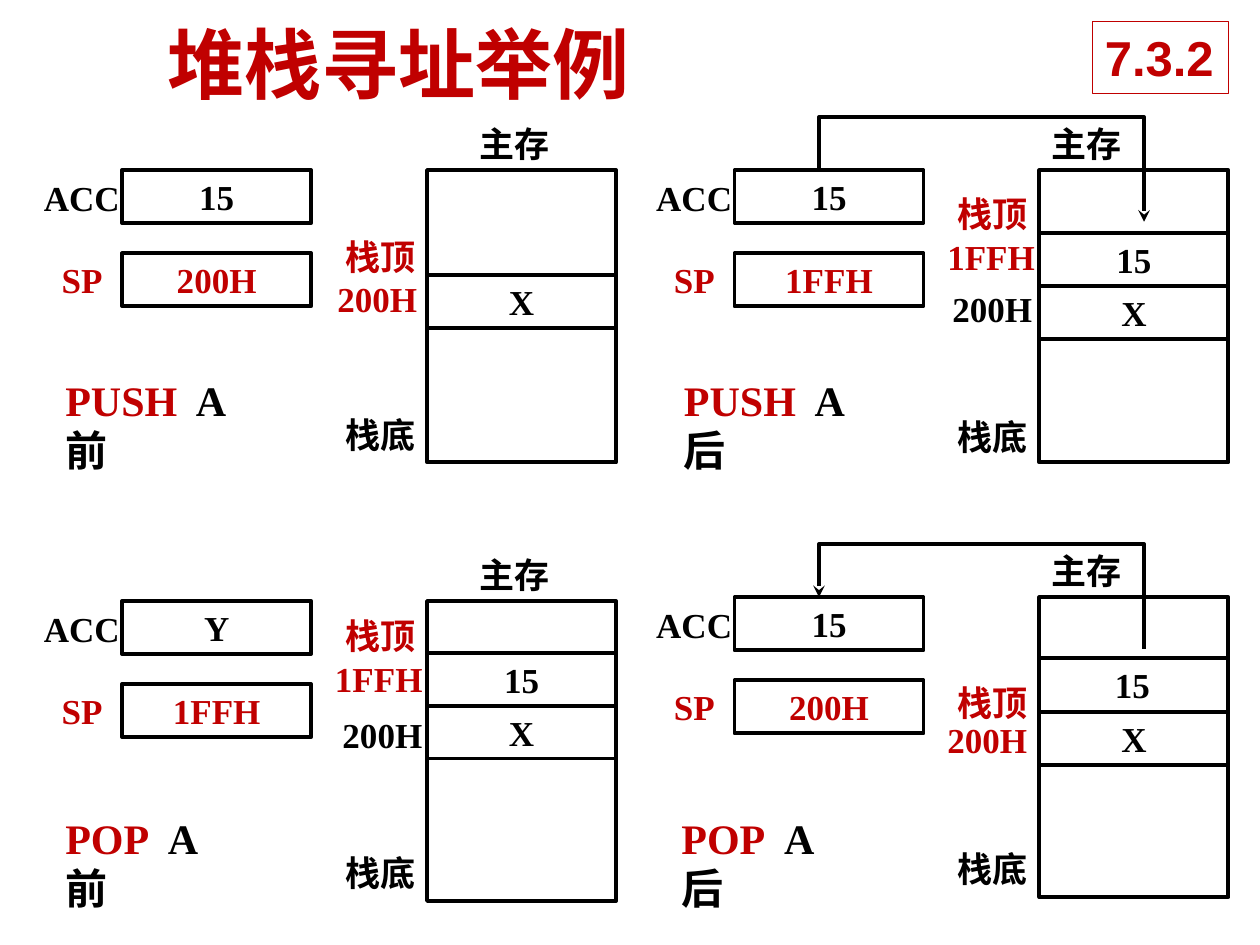
from dataclasses import dataclass
from typing import Optional

from lxml.etree import SubElement
from pptx import Presentation
from pptx.dml.color import RGBColor
from pptx.enum.shapes import MSO_CONNECTOR, MSO_SHAPE
from pptx.enum.text import MSO_ANCHOR, MSO_AUTO_SIZE, PP_ALIGN
from pptx.oxml.ns import qn
from pptx.util import Inches, Pt

RED, BLACK, WHITE = "C00000", "000000", "FFFFFF"
SERIF = "Times New Roman"
CELL_WIDTH, CELL_HEIGHT = 1.5, 0.42
REGISTER_X, MEMORY_X = 0.97, 3.39
PANEL_STEP = 4.86  # from the left panels to the right ones
# Wide enough to keep each label on one line
LABEL_WIDTHS = {"ACC": 0.83, "SP": 0.55, "200H": 0.87, "1FFH": 0.92, "15": 0.5}
CHINESE_LABEL_WIDTH = 0.77


@dataclass
class Label:
    text: str
    x: float
    y: float
    color: str = BLACK


@dataclass
class Cell:
    text: str
    y: float


@dataclass
class Panel:
    """One stack state; positions inside it count from its left and top."""
    left: float
    top: float
    acc: str
    sp: str
    memory_height: float
    cells: list[Cell]
    labels: list[Label]
    instruction: str
    moment: str
    instruction_at: tuple[float, float]
    arrow_end: Optional[str] = None


PANELS = [
    Panel(0, 1.35, "15", "200H", 2.32, [Cell("X", 0.83)],
          [Label("栈顶", 2.64, 0.47, RED), Label("200H", 2.58, 0.8, RED),
           Label("栈底", 2.64, 1.88), Label("主存", 3.71, -0.43)],
          "PUSH", "前", (0.42, 2.92)),
    Panel(PANEL_STEP, 1.35, "15", "1FFH", 2.32, [Cell("15", 0.5), Cell("X", 0.92)],
          [Label("栈顶", 2.64, 0.13, RED), Label("1FFH", 2.56, 0.47, RED),
           Label("200H", 2.6, 0.88), Label("栈底", 2.64, 1.9),
           Label("主存", MEMORY_X, -0.43)],
          "PUSH", "后", (5.33, 2.92), "tailEnd"),
    Panel(0, 4.77, "Y", "1FFH", 2.38, [Cell("15", 0.41), Cell("X", 0.83)],
          [Label("栈顶", 2.64, 0.06, RED), Label("1FFH", 2.56, 0.4, RED),
           Label("200H", 2.62, 0.84), Label("栈底", 2.64, 1.94),
           Label("主存", 3.71, -0.43)],
          "POP", "前", (0.42, 6.4)),
    Panel(PANEL_STEP, 4.74, "15", "200H", 2.38, [Cell("X", 0.91)],
          [Label("栈顶", 2.64, 0.62, RED), Label("200H", 2.56, 0.91, RED),
           Label("栈底", 2.64, 1.94), Label("主存", MEMORY_X, -0.43),
           Label("15", 3.89, 0.48)],
          "POP", "后", (5.31, 6.4), "headEnd"),
]


def rgb(color: str) -> RGBColor:
    return RGBColor.from_string(color)


def set_font(paragraph, size: float, color: str, name: str = SERIF) -> None:
    font = paragraph.font
    font.size, font.bold, font.name = Pt(size), True, name
    font.color.rgb = rgb(color)


def add_box(slide, x: float, y: float, height: float, text: str = "",
            color: str = BLACK) -> None:
    box = slide.shapes.add_shape(MSO_SHAPE.RECTANGLE, Inches(x), Inches(y),
                                 Inches(CELL_WIDTH), Inches(height))
    box.shadow.inherit = False
    box.fill.background()
    box.line.color.rgb = rgb(BLACK)
    box.line.width = Pt(2.25)
    if text:
        frame = box.text_frame
        frame.word_wrap = False
        frame.vertical_anchor = MSO_ANCHOR.MIDDLE
        frame.text = text
        frame.paragraphs[0].alignment = PP_ALIGN.CENTER
        set_font(frame.paragraphs[0], 20, color)


def add_label(slide, text: str, x: float, y: float, color: str = BLACK) -> None:
    width = LABEL_WIDTHS.get(text, CHINESE_LABEL_WIDTH)
    box = slide.shapes.add_textbox(Inches(x), Inches(y), Inches(width), Inches(0.43))
    frame = box.text_frame
    frame.word_wrap = False
    frame.auto_size = MSO_AUTO_SIZE.SHAPE_TO_FIT_TEXT
    frame.text = text
    set_font(frame.paragraphs[0], 20, color)


def add_instruction(slide, panel: Panel) -> None:
    x, y = panel.instruction_at
    box = slide.shapes.add_textbox(Inches(x), Inches(y), Inches(1.92), Inches(0.5))
    box.text_frame.word_wrap = True
    paragraph = box.text_frame.paragraphs[0]
    set_font(paragraph, 24, BLACK)
    operation = paragraph.add_run()
    operation.text = panel.instruction
    operation.font.color.rgb = rgb(RED)
    paragraph.add_run().text = "  A"
    paragraph.add_line_break()
    paragraph.add_run().text = panel.moment


def add_transfer_arrow(slide, top: float, arrow_end: str) -> None:
    """Path between ACC and the top of the stack."""
    points = [(Inches(x), Inches(y)) for x, y in
              [(6.5, top), (6.5, top - 0.42), (9.08, top - 0.42), (9.08, top + 0.41)]]
    builder = slide.shapes.build_freeform(*points[0])
    builder.add_line_segments(points[1:], close=False)
    arrow = builder.convert_to_shape()
    arrow.shadow.inherit = False
    arrow.fill.background()
    arrow.line.color.rgb = rgb(BLACK)
    arrow.line.width = Pt(2.25)
    line = arrow.line._get_or_add_ln()
    SubElement(line, qn(f"a:{arrow_end}"), type="stealth")


def add_panel(slide, panel: Panel) -> None:
    left, top = panel.left, panel.top
    # Registers
    add_box(slide, left + REGISTER_X, top, CELL_HEIGHT, panel.acc)
    add_box(slide, left + REGISTER_X, top + 0.66, CELL_HEIGHT, panel.sp, RED)
    add_label(slide, "ACC", left + 0.25, top)
    add_label(slide, "SP", left + 0.39, top + 0.65, RED)
    # Main memory
    add_box(slide, left + MEMORY_X, top, panel.memory_height)
    for cell in panel.cells:
        add_box(slide, left + MEMORY_X, top + cell.y, CELL_HEIGHT, cell.text)
    for label in panel.labels:
        add_label(slide, label.text, left + label.x, top + label.y, label.color)
    if panel.arrow_end:
        add_transfer_arrow(slide, top, panel.arrow_end)
    add_instruction(slide, panel)


def add_popped_cell_edge(slide) -> None:
    edge = slide.shapes.add_connector(MSO_CONNECTOR.STRAIGHT, Inches(8.25), Inches(5.22),
                                      Inches(9.75), Inches(5.22))
    edge.line.color.rgb = rgb(BLACK)
    edge.line.width = Pt(2.25)
    SubElement(edge._element.spPr, qn("a:effectLst"))


def add_heading(slide) -> None:
    title = slide.shapes.title
    title.left, title.top = Inches(1.23), Inches(0.08)
    title.width, title.height = Inches(8.42), Inches(0.83)
    title.text_frame.text = "堆栈寻址举例"
    title.text_frame.vertical_anchor = MSO_ANCHOR.MIDDLE
    title.text_frame.paragraphs[0].alignment = PP_ALIGN.LEFT
    set_font(title.text_frame.paragraphs[0], 44, RED)

    section = slide.shapes.add_shape(MSO_SHAPE.RECTANGLE, Inches(8.67), Inches(0.17),
                                     Inches(1.08), Inches(0.57))
    section.shadow.inherit = False
    section.fill.solid()
    section.fill.fore_color.rgb = rgb(WHITE)
    section.line.color.rgb = rgb(RED)
    section.line.width = Pt(0.75)
    section.text_frame.word_wrap = False
    section.text_frame.text = "7.3.2"
    section.text_frame.paragraphs[0].alignment = PP_ALIGN.LEFT
    set_font(section.text_frame.paragraphs[0], 28, RED, "Arial")


def main() -> None:
    presentation = Presentation()
    presentation.slide_width, presentation.slide_height = Inches(10), Inches(7.5)
    slide = presentation.slides.add_slide(presentation.slide_layouts[5])
    for panel in PANELS:
        add_panel(slide, panel)
    add_popped_cell_edge(slide)
    add_heading(slide)
    presentation.save("out.pptx")


if __name__ == "__main__":
    main()
